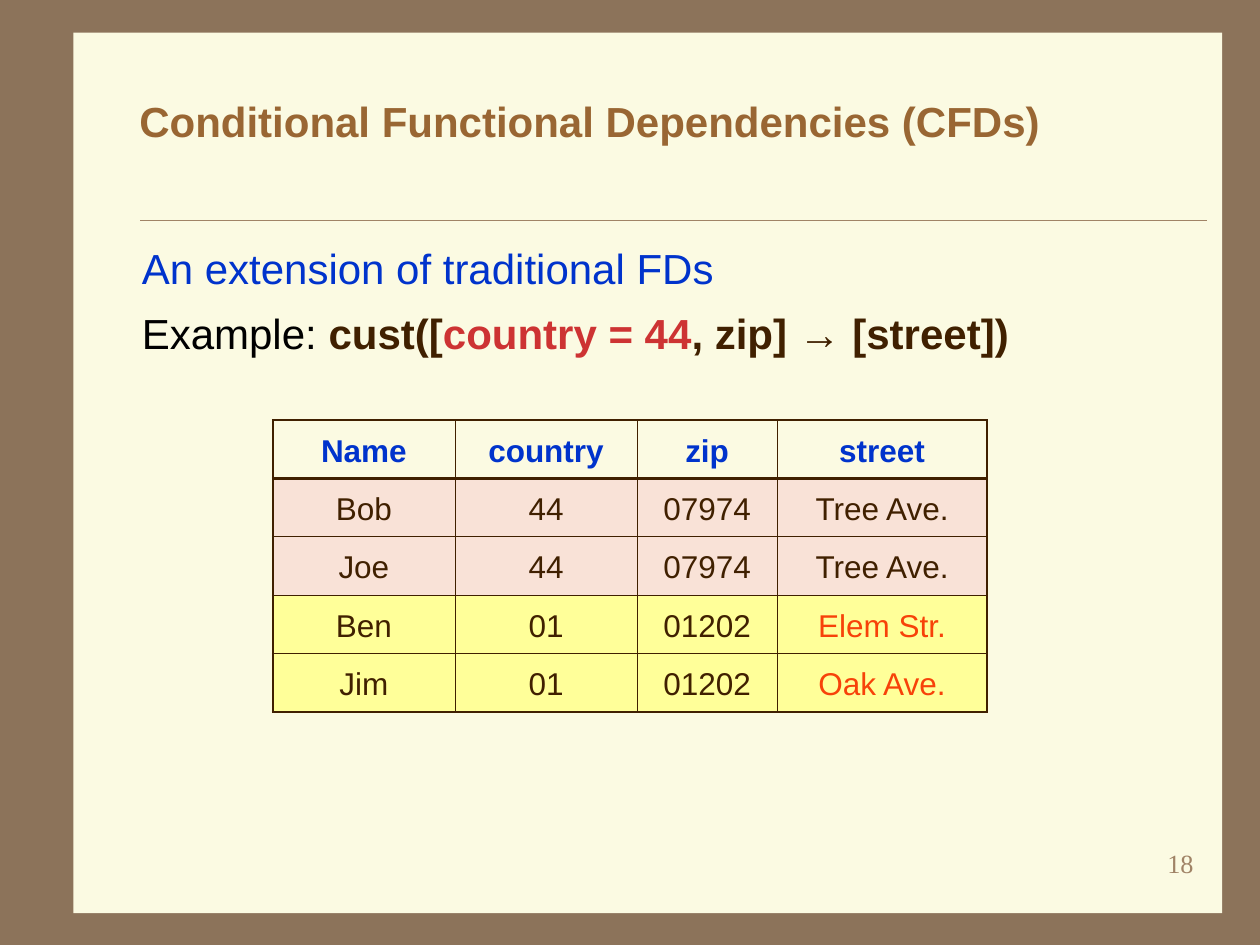
from lxml import etree
from pptx import Presentation
from pptx.dml.color import RGBColor
from pptx.enum.shapes import MSO_CONNECTOR, MSO_SHAPE
from pptx.enum.text import MSO_ANCHOR, PP_ALIGN
from pptx.oxml.ns import qn
from pptx.util import Cm, Pt

RECTANGLE = MSO_SHAPE.RECTANGLE
STRAIGHT = MSO_CONNECTOR.STRAIGHT
TOP, MIDDLE = MSO_ANCHOR.TOP, MSO_ANCHOR.MIDDLE
LEFT, CENTER, RIGHT = PP_ALIGN.LEFT, PP_ALIGN.CENTER, PP_ALIGN.RIGHT

FRAME = RGBColor(0x8C, 0x73, 0x5A)
PAPER = RGBColor(0xFB, 0xFA, 0xE2)
TAN = RGBColor(0xA0, 0x83, 0x66)
TITLE_BROWN = RGBColor(0x99, 0x66, 0x33)
BLUE = RGBColor(0x00, 0x33, 0xCC)
BLACK = RGBColor(0x00, 0x00, 0x00)
DARK = RGBColor(0x40, 0x20, 0x00)
RED = RGBColor(0xCD, 0x33, 0x33)
ORANGE = RGBColor(0xF7, 0x42, 0x09)
PINK = RGBColor(0xF9, 0xE2, 0xD7)
YELLOW = RGBColor(0xFF, 0xFF, 0x99)

HEADINGS = ["Name", "country", "zip", "street"]
CUSTOMERS = [
    ["Bob", "44", "07974", "Tree Ave."],
    ["Joe", "44", "07974", "Tree Ave."],
    ["Ben", "01", "01202", "Elem Str."],
    ["Jim", "01", "01202", "Oak Ave."],
]
ROW_FILLS = [None, PINK, PINK, YELLOW, YELLOW]
COLUMN_SHARES = [3.67, 3.67, 2.82, 4.23]
THIN, SIDE, HEAVY = 0.45, 1.08, 1.47


def set_all(target, values):
    for name, value in values.items():
        setattr(target, name, value)


def add_span(para, text, color, size, bold=False, name="Arial"):
    span = para.add_run()
    span.text = text
    set_all(span.font, {"name": name, "size": Pt(size), "bold": bold})
    span.font.color.rgb = color


def add_text(page, left, top, width, height, paragraphs,
             align=LEFT, anchor=TOP, line_spacing=1.0, gap=0):
    """Place a text box; each paragraph is a list of add_span argument dicts."""
    box = page.shapes.add_textbox(Cm(left), Cm(top), Cm(width), Cm(height))
    frame = box.text_frame
    set_all(frame, {
        "word_wrap": True, "vertical_anchor": anchor,
        "margin_left": Cm(0.27), "margin_right": Cm(0.27),
        "margin_top": Cm(0.13), "margin_bottom": Cm(0.13),
    })
    for index, spans in enumerate(paragraphs):
        para = frame.add_paragraph() if index else frame.paragraphs[0]
        set_all(para, {"alignment": align, "line_spacing": line_spacing})
        if index:
            para.space_before = Pt(gap)
        for span in spans:
            add_span(para, **span)


def add_backdrop(page, left, top, width, height):
    page.background.fill.solid()
    page.background.fill.fore_color.rgb = FRAME
    paper = page.shapes.add_shape(RECTANGLE, Cm(left), Cm(top), Cm(width), Cm(height))
    paper.shadow.inherit = False
    paper.fill.solid()
    paper.fill.fore_color.rgb = PAPER
    paper.line.fill.background()

    rule_y = Cm(top + 3.78)
    rule = page.shapes.add_connector(
        STRAIGHT, Cm(left + 1.35), rule_y, Cm(left + width - 0.3), rule_y)
    rule.line.color.rgb = TAN
    rule.line.width = Pt(0.25)
    etree.SubElement(rule._element.spPr, qn("a:effectLst"))


def add_title(page, left, top, width, height):
    title = {"text": "Conditional Functional Dependencies (CFDs)",
             "color": TITLE_BROWN, "size": 24, "bold": True}
    add_text(page, left, top, width, height, [[title]], anchor=MIDDLE)


def add_body(page, left, top, width, height):
    definition = [{"text": "An extension of traditional FDs", "color": BLUE, "size": 24}]
    example = [
        {"text": "Example: ", "color": BLACK, "size": 24},
        {"text": "cust([", "color": DARK, "size": 24, "bold": True},
        {"text": "country = 44", "color": RED, "size": 24, "bold": True},
        {"text": ", zip] → [street])", "color": DARK, "size": 24, "bold": True},
    ]
    add_text(page, left, top, width, height, [definition, example],
             line_spacing=1.2, gap=3)


def set_borders(cell, widths):
    """Draw the cell's left, right, top and bottom borders, widths in points."""
    properties = cell._tc.get_or_add_tcPr()
    for side, width in zip("LRTB", widths):
        line = etree.SubElement(properties, qn(f"a:ln{side}"), w=str(int(Pt(width))))
        fill = etree.SubElement(line, qn("a:solidFill"))
        etree.SubElement(fill, qn("a:srgbClr"), val=str(DARK))


def add_customer_table(page, left, top, width, height):
    rows = [HEADINGS] + CUSTOMERS
    last_row, last_column = len(rows) - 1, len(HEADINGS) - 1
    table = page.shapes.add_table(
        len(rows), len(HEADINGS), Cm(left), Cm(top), Cm(width), Cm(height)).table
    set_all(table, {"first_row": False, "horz_banding": False})
    for column, share in zip(table.columns, COLUMN_SHARES):
        column.width = Cm(width * share / sum(COLUMN_SHARES))

    for r, (texts, fill) in enumerate(zip(rows, ROW_FILLS)):
        table.rows[r].height = Cm(height / len(rows))
        for c, text in enumerate(texts):
            cell = table.cell(r, c)
            set_borders(cell, [
                SIDE if c == 0 else THIN,
                SIDE if c == last_column else THIN,
                HEAVY if r < 2 else THIN,
                HEAVY if r == 0 else SIDE if r == last_row else THIN,
            ])
            if fill is None:
                cell.fill.background()
            else:
                cell.fill.solid()
                cell.fill.fore_color.rgb = fill
            conflicting = fill == YELLOW and c == last_column
            color = BLUE if r == 0 else ORANGE if conflicting else DARK
            para = cell.text_frame.paragraphs[0]
            set_all(para, {"alignment": CENTER, "line_spacing": 1.2})
            add_span(para, text, color, 18, bold=r == 0)


def add_page_number(page, left, top, width, height):
    number = {"text": "18", "color": TAN, "size": 15, "name": "Times New Roman"}
    add_text(page, left, top, width, height, [[number]], align=RIGHT)


def main():
    deck = Presentation()
    set_all(deck, {"slide_width": Cm(25.4), "slide_height": Cm(19.05)})
    page = deck.slides.add_slide(deck.slide_layouts[6])
    add_backdrop(page, 1.48, 0.66, 23.16, 17.75)
    add_body(page, 2.59, 4.55, 21.59, 12.3)
    add_title(page, 2.54, 1.27, 21.59, 2.31)
    add_customer_table(page, 5.5, 8.47, 14.4, 5.88)
    add_page_number(page, 19.05, 16.95, 5.28, 1.27)
    deck.save("out.pptx")


if __name__ == "__main__":
    main()
